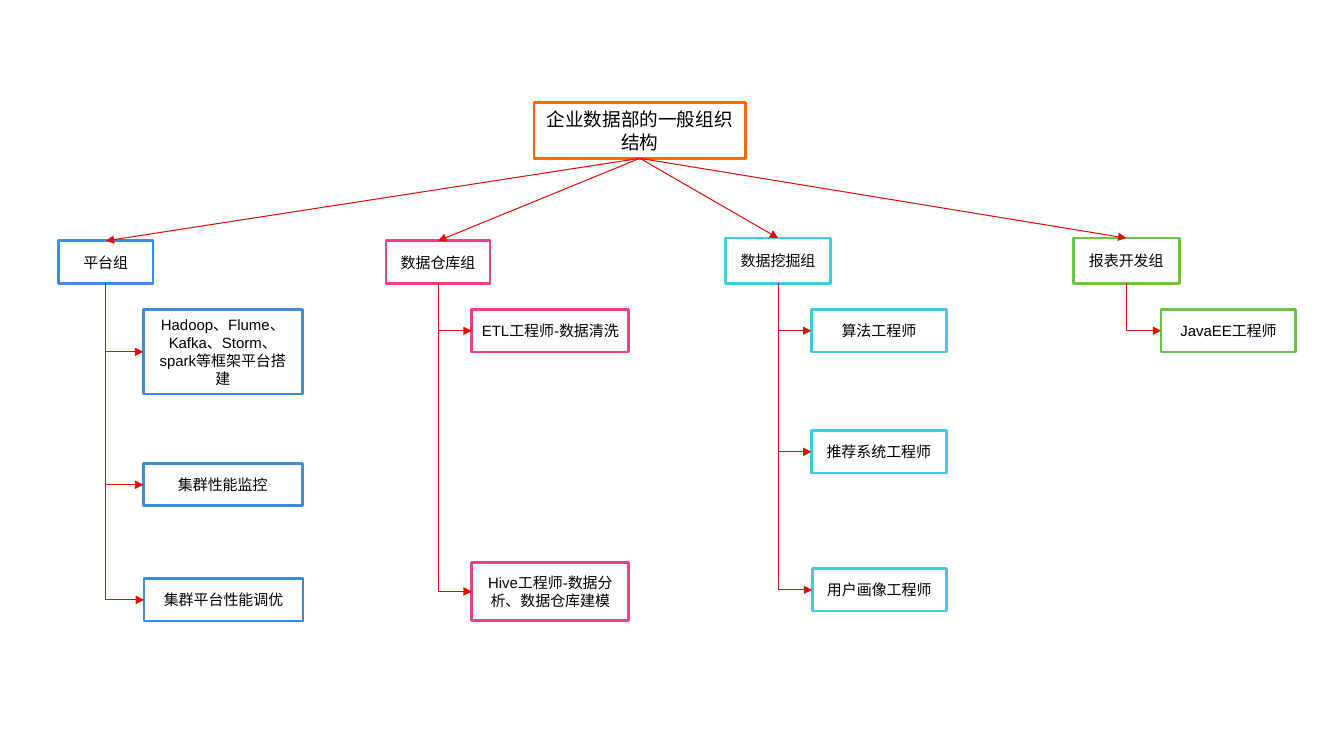
from lxml import etree
from pptx import Presentation
from pptx.dml import color
from pptx.enum import shapes, text
from pptx.oxml import ns
from pptx.util import Cm, Pt

ROOT = ("企业数据部的一般组织结构", 13.46, 2.59, 5.33, 1.4)
ROOT_COLOUR = "FF6A00"
ARROW_COLOUR = "E10F05"
GROUPS = [
    ("3E8DDD", ("平台组", 1.47, 6.07, 2.39, 1.07), [
        ("Hadoop、Flume、Kafka、Storm、spark等框架平台搭建", 3.61, 7.8, 4.01, 2.13),
        ("集群性能监控", 3.61, 11.68, 4.01, 1.07),
        ("集群平台性能调优", 3.63, 14.58, 4.01, 1.07),
    ]),
    ("F04187", ("数据仓库组", 9.73, 6.07, 2.62, 1.07), [
        ("ETL工程师-数据清洗", 11.89, 7.8, 3.96, 1.07),
        ("Hive工程师-数据分析、数据仓库建模", 11.89, 14.17, 3.96, 1.47),
    ]),
    ("46C8E1", ("数据挖掘组", 18.29, 6, 2.64, 1.14), [
        ("算法工程师", 20.45, 7.8, 3.4, 1.07),
        ("推荐系统工程师", 20.45, 10.85, 3.4, 1.07),
        ("用户画像工程师", 20.47, 14.33, 3.38, 1.07),
    ]),
    ("6AC346", ("报表开发组", 27.05, 6, 2.67, 1.14), [
        ("JavaEE工程师", 29.26, 7.8, 3.4, 1.07),
    ]),
]
TOP, LEFT, BOTTOM = 0, 1, 2


def rgb(value):
    return color.RGBColor.from_string(value)


def apply(target, values):
    for name, value in values.items():
        setattr(target, name, value)


def add_box(page, entry, colour, size=10.7):
    label, *place = entry
    box = page.shapes.add_shape(shapes.MSO_SHAPE.RECTANGLE, *map(Cm, place))
    box.shadow.inherit = False
    box.fill.solid()
    box.fill.fore_color.rgb = rgb("FFFFFF")
    box.line.color.rgb = rgb(colour)
    box.line.width = Pt(2)
    apply(box.text_frame, {"word_wrap": True, "vertical_anchor": text.MSO_ANCHOR.MIDDLE})
    para = box.text_frame.paragraphs[0]
    para.alignment = text.PP_ALIGN.CENTER
    span = para.add_run()
    span.text = label
    apply(span.font, {"name": "Arial", "size": Pt(size)})
    span.font.color.rgb = rgb("000000")
    return box


def add_arrow(page, kind, parent, child, side):
    arrow = page.shapes.add_connector(kind, 0, 0, 0, 0)
    arrow.begin_connect(parent, BOTTOM)
    arrow.end_connect(child, side)
    arrow.line.color.rgb = rgb(ARROW_COLOUR)
    arrow.line.width = Pt(0.75)
    etree.SubElement(arrow.line._get_or_add_ln(), ns.qn("a:tailEnd"), type="triangle")
    etree.SubElement(arrow._element.spPr, ns.qn("a:effectLst"))
    return arrow


def add_elbow(page, parent, child):
    arrow = add_arrow(page, shapes.MSO_CONNECTOR.ELBOW, parent, child, LEFT)
    across, down = arrow.width, arrow.height
    apply(arrow, {
        "left": arrow.left + (across - down) // 2,
        "top": arrow.top + (down - across) // 2,
        "width": down,
        "height": across,
    })
    frame = arrow._element.spPr.find(ns.qn("a:xfrm"))
    frame.set("rot", "16200000")
    frame.set("flipH", "1")
    arrow._element.spPr.find(ns.qn("a:prstGeom")).set("prst", "bentConnector2")


def main():
    deck = Presentation()
    apply(deck, {"slide_width": Cm(33.87), "slide_height": Cm(19.05)})
    page = deck.slides.add_slide(deck.slide_layouts[6])
    root = add_box(page, ROOT, ROOT_COLOUR, 13.3)
    for colour, group, roles in GROUPS:
        head = add_box(page, group, colour)
        add_arrow(page, shapes.MSO_CONNECTOR.STRAIGHT, root, head, TOP)
        for role in roles:
            add_elbow(page, head, add_box(page, role, colour))
    deck.save("out.pptx")


if __name__ == "__main__":
    main()
